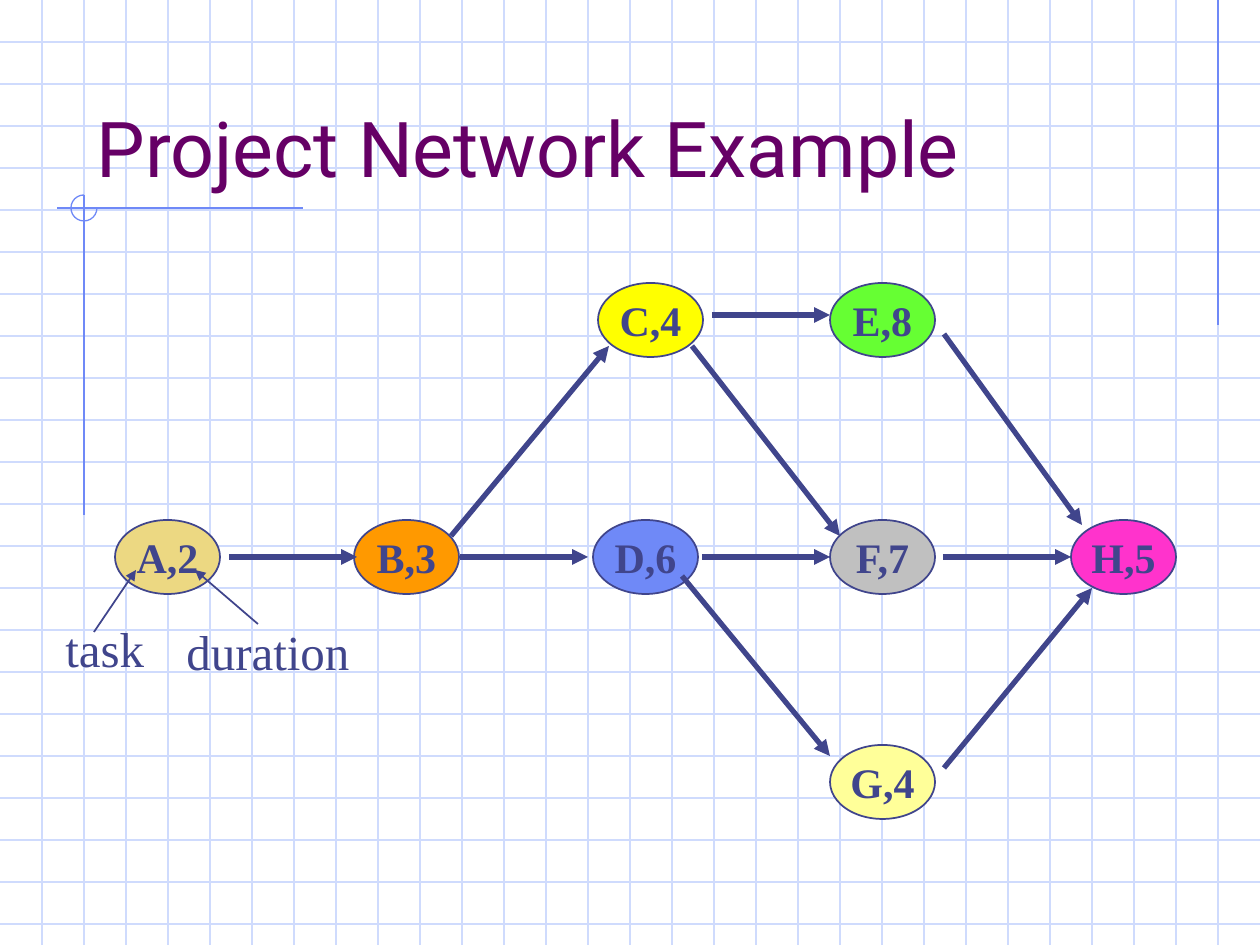
from lxml.etree import SubElement
from pptx import Presentation
from pptx.dml.color import RGBColor
from pptx.enum.shapes import MSO_CONNECTOR as Connector, MSO_SHAPE as Shape
from pptx.enum.text import MSO_ANCHOR as Anchor, MSO_AUTO_SIZE as AutoSize, PP_ALIGN as Align
from pptx.oxml.ns import qn
from pptx.util import Emu, Pt

EMU_PER_PX = 914400 / 126
WIDTH, HEIGHT, GRID_STEP = 1260, 945, 42
TITLE_ONLY = 5
COLORS = {
    "grid": "CFDBFD", "accent": "6F89F7", "title": "660066", "ink": "40458C",
    "sand": "ECD882", "orange": "FF9900", "blue": "6F89F7", "yellow": "FFFF00",
    "cream": "FFFF99", "grey": "C0C0C0", "green": "66FF33", "pink": "FF33CC",
}


def px(*lengths):
    return [Emu(round(length * EMU_PER_PX)) for length in lengths]


def rgb(name):
    return RGBColor.from_string(COLORS[name])


class NetworkSlide:
    title_font, body_font = "Roboto", "Times New Roman"
    node_size = (105, 74)

    def __init__(self, slide):
        self.slide = slide
        self.shapes = slide.shapes

    def style_text(self, frame, text, size, color, font, align=Align.LEFT, bold=False):
        frame.text = text
        paragraph = frame.paragraphs[0]
        paragraph.alignment = align
        paragraph.font.name = font
        paragraph.font.size = Pt(size)
        paragraph.font.bold = bold
        paragraph.font.color.rgb = rgb(color)

    def title(self, text, box):
        heading = self.shapes.title
        heading.left, heading.top, heading.width, heading.height = px(*box)
        frame = heading.text_frame
        frame.auto_size = AutoSize.NONE
        frame.vertical_anchor = Anchor.BOTTOM
        self.style_text(frame, text, 44, "title", self.title_font)
        # Appending moves the title in front of the grid.
        self.shapes._spTree.append(heading._element)

    def line(self, start, end, color, width=0.75):
        connector = self.shapes.add_connector(Connector.STRAIGHT, *px(*start, *end))
        connector.line.color.rgb = rgb(color)
        connector.line.width = Pt(width)
        SubElement(connector._element.spPr, qn("a:effectLst"))
        return connector

    def arrow(self, start, end, width=3):
        connector = self.line(start, end, "ink", width)
        SubElement(connector.line._get_or_add_ln(), qn("a:tailEnd"), type="triangle")

    def three_quarter_circle(self, center_x, center_y, radius):
        ring = self.shapes.add_shape(
            Shape.ARC, *px(center_x - radius, center_y - radius, 2 * radius, 2 * radius))
        # Angles run clockwise from the right, in units of 0.6 per degree.
        ring.adjustments[0], ring.adjustments[1] = 0, 270 * 0.6
        ring.shadow.inherit = False
        ring.fill.background()
        ring.line.color.rgb = rgb("accent")
        ring.line.width = Pt(0.75)

    def node(self, text, left, top, color):
        oval = self.shapes.add_shape(Shape.OVAL, *px(left, top, *self.node_size))
        oval.shadow.inherit = False
        oval.fill.solid()
        oval.fill.fore_color.rgb = rgb(color)
        oval.line.color.rgb = rgb("ink")
        oval.line.width = Pt(1)
        oval.text_frame.word_wrap = False
        oval.text_frame.vertical_anchor = Anchor.MIDDLE
        self.style_text(oval.text_frame, text, 24, "ink", self.body_font, Align.CENTER, True)

    def label(self, text, box):
        frame = self.shapes.add_textbox(*px(*box)).text_frame
        frame.word_wrap = False
        frame.auto_size = AutoSize.SHAPE_TO_FIT_TEXT
        self.style_text(frame, text, 28, "ink", self.body_font)

    def backdrop(self):
        for y in range(GRID_STEP, HEIGHT, GRID_STEP):
            self.line((0, y), (WIDTH, y), "grid")
        for x in range(GRID_STEP, WIDTH, GRID_STEP):
            self.line((x, 0), (x, HEIGHT), "grid")
        self.line((1218, 0), (1218, 325), "accent")
        self.line((303, 208), (57, 208), "accent")
        self.line((84, 195), (84, 515), "accent")
        self.three_quarter_circle(84, 208, 13)


TOP_ROW, MIDDLE_ROW, BOTTOM_ROW = 283, 520, 745
MIDDLE_AXIS = 557
TASKS = [
    ("A,2", 115, MIDDLE_ROW, "sand"),
    ("B,3", 354, MIDDLE_ROW, "orange"),
    ("D,6", 593, MIDDLE_ROW, "blue"),
    ("C,4", 598, TOP_ROW, "yellow"),
    ("G,4", 830, BOTTOM_ROW, "cream"),
    ("F,7", 830, MIDDLE_ROW, "grey"),
    ("E,8", 830, TOP_ROW, "green"),
    ("H,5", 1071, MIDDLE_ROW, "pink"),
]
DEPENDENCIES = [
    ((702, MIDDLE_AXIS), (830, MIDDLE_AXIS)),  # D to F
    ((460, MIDDLE_AXIS), (588, MIDDLE_AXIS)),  # B to D
    ((229, MIDDLE_AXIS), (357, MIDDLE_AXIS)),  # A to B
    ((943, MIDDLE_AXIS), (1071, MIDDLE_AXIS)),  # F to H
    ((451, 536), (609, 346)),  # B to C
    ((712, 315), (830, 315)),  # C to E
    ((692, 346), (840, 536)),  # C to F
    ((682, 576), (830, 756)),  # D to G
    ((944, 334), (1082, 525)),  # E to H
    ((944, 768), (1092, 588)),  # G to H
]
LEGEND = [
    ("task", (53, 612, 106, 72), (94, 632), (136, 570)),
    ("duration", (174, 615, 190, 72), (258, 624), (195, 570)),
]


def main():
    deck = Presentation()
    deck.slide_width, deck.slide_height = px(WIDTH, HEIGHT)
    network = NetworkSlide(deck.slides.add_slide(deck.slide_layouts[TITLE_ONLY]))
    network.backdrop()
    network.title("Project Network Example", (84, 42, 1071, 157))
    for task in TASKS:
        network.node(*task)
    for start, end in DEPENDENCIES:
        network.arrow(start, end)
    for text, box, start, end in LEGEND:
        network.label(text, box)
        network.arrow(start, end, width=1)
    deck.save("out.pptx")


if __name__ == "__main__":
    main()
